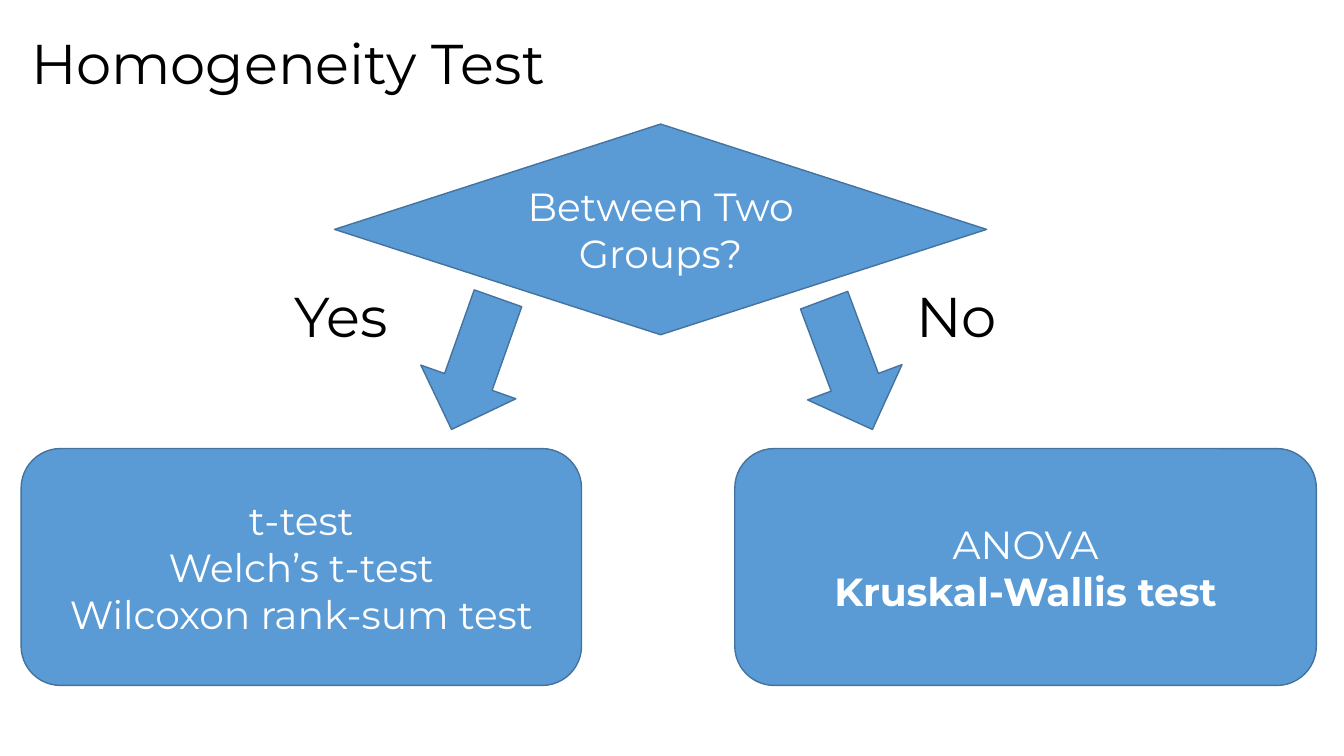
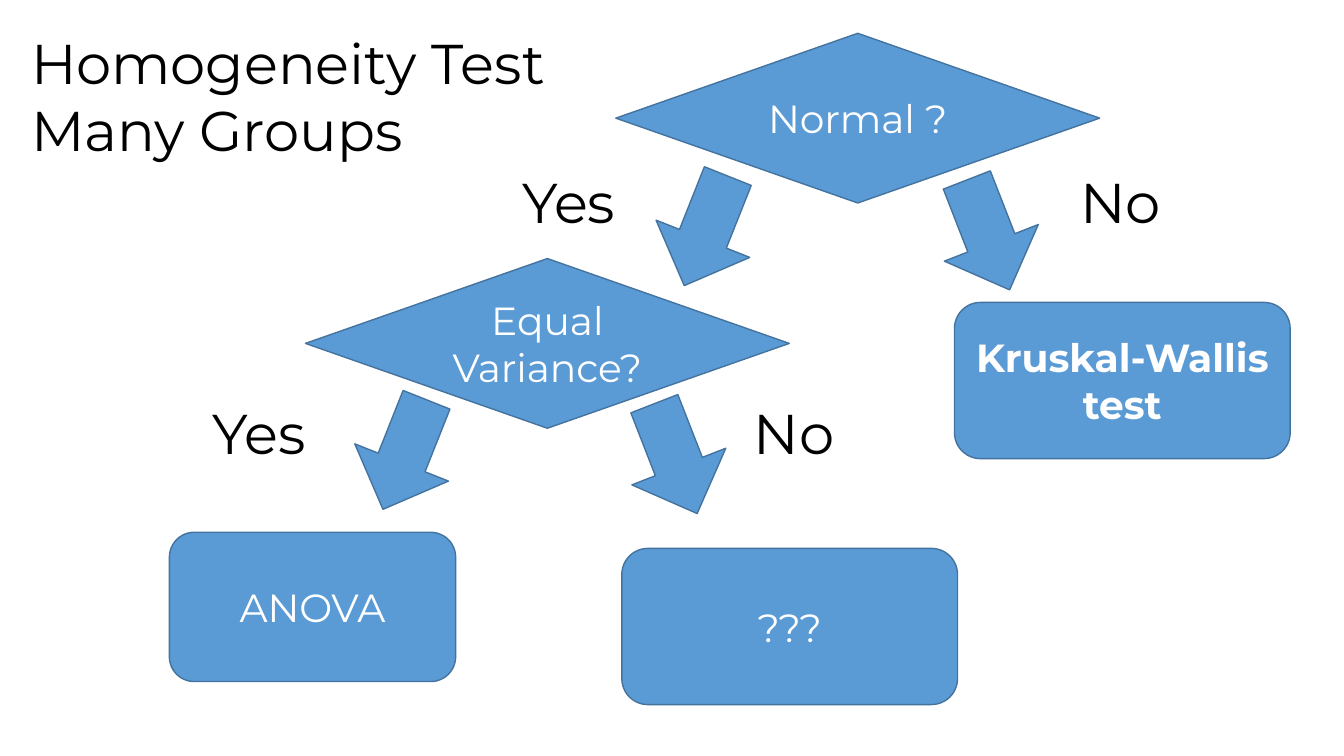
from dataclasses import dataclass

from pptx import Presentation
from pptx.dml.color import RGBColor
from pptx.enum.shapes import MSO_SHAPE
from pptx.enum.text import MSO_ANCHOR, MSO_AUTO_SIZE, PP_ALIGN
from pptx.presentation import Presentation as Deck
from pptx.slide import Slide
from pptx.text.text import TextFrame
from pptx.util import Pt

DECISION = MSO_SHAPE.FLOWCHART_DECISION
OUTCOME = MSO_SHAPE.FLOWCHART_ALTERNATE_PROCESS
ARROW = MSO_SHAPE.RIGHT_ARROW
LEFT = PP_ALIGN.LEFT
CENTER = PP_ALIGN.CENTER
TOP = MSO_ANCHOR.TOP
MIDDLE = MSO_ANCHOR.MIDDLE
FIT_SHAPE = MSO_AUTO_SIZE.SHAPE_TO_FIT_TEXT
NO_FIT = MSO_AUTO_SIZE.NONE
BLANK_LAYOUT = 6


@dataclass(frozen=True)
class Theme:
    font: str = "Montserrat"
    fill: RGBColor = RGBColor(0x5B, 0x9B, 0xD5)
    outline: RGBColor = RGBColor(0x43, 0x73, 0x9E)
    dark_text: RGBColor = RGBColor(0, 0, 0)
    light_text: RGBColor = RGBColor(255, 255, 255)
    heading_size: float = 40
    node_size: float = 28
    outline_width: float = 1


@dataclass(frozen=True)
class Box:
    left: float
    top: float
    width: float
    height: float


@dataclass(frozen=True)
class Line:
    text: str
    bold: bool = False


@dataclass(frozen=True)
class Node:
    kind: MSO_SHAPE
    box: Box
    lines: tuple[Line, ...]


@dataclass(frozen=True)
class Arrow:
    box: Box
    angle: float


@dataclass(frozen=True)
class Label:
    text: str
    left: float
    top: float


@dataclass(frozen=True)
class Flowchart:
    title: tuple[str, ...]
    nodes: tuple[Node, ...]
    arrows: tuple[Arrow, ...]
    labels: tuple[Label, ...]


THEME = Theme()
SLIDE_WIDTH, SLIDE_HEIGHT = 960, 540
TITLE_LEFT, TITLE_TOP, TITLE_WIDTH = 15.1, 16.6, 415.4
HEADING_LINE, HEADING_MARGIN = 49, 6.4
LABEL_WIDTH = 93.6
ARROW_HEIGHT = 72
KRUSKAL_WALLIS = Line("Kruskal-Wallis test", bold=True)


def write_text(
    frame: TextFrame,
    lines: tuple[Line, ...],
    *,
    size: float,
    color: RGBColor,
    align: PP_ALIGN = LEFT,
    anchor: MSO_ANCHOR = TOP,
    fit: MSO_AUTO_SIZE = NO_FIT,
) -> None:
    frame.word_wrap = True
    frame.auto_size = fit
    frame.vertical_anchor = anchor
    for index, line in enumerate(lines):
        para = frame.add_paragraph() if index else frame.paragraphs[0]
        para.alignment = align
        span = para.add_run()
        span.text = line.text
        span.font.name = THEME.font
        span.font.size = Pt(size)
        span.font.bold = line.bold
        span.font.color.rgb = color


def draw_shape(page: Slide, kind: MSO_SHAPE, box: Box, angle: float = 0) -> TextFrame:
    shape = page.shapes.add_shape(
        kind, Pt(box.left), Pt(box.top), Pt(box.width), Pt(box.height)
    )
    shape.rotation = angle
    shape.shadow.inherit = False
    shape.fill.solid()
    shape.fill.fore_color.rgb = THEME.fill
    shape.line.color.rgb = THEME.outline
    shape.line.width = Pt(THEME.outline_width)
    return shape.text_frame


def draw_node(page: Slide, node: Node) -> None:
    write_text(
        draw_shape(page, node.kind, node.box),
        node.lines,
        size=THEME.node_size,
        color=THEME.light_text,
        align=CENTER,
        anchor=MIDDLE,
    )


def draw_heading(
    page: Slide, texts: tuple[str, ...], left: float, top: float, width: float
) -> None:
    height = HEADING_LINE * len(texts) + HEADING_MARGIN
    text_box = page.shapes.add_textbox(Pt(left), Pt(top), Pt(width), Pt(height))
    write_text(
        text_box.text_frame,
        tuple(Line(text) for text in texts),
        size=THEME.heading_size,
        color=THEME.dark_text,
        fit=FIT_SHAPE,
    )


def draw_flowchart(deck: Deck, chart: Flowchart) -> None:
    page = deck.slides.add_slide(deck.slide_layouts[BLANK_LAYOUT])
    draw_heading(page, chart.title, TITLE_LEFT, TITLE_TOP, TITLE_WIDTH)
    for node in chart.nodes:
        draw_node(page, node)
    for arrow in chart.arrows:
        draw_shape(page, ARROW, arrow.box, arrow.angle)
    for label in chart.labels:
        draw_heading(page, (label.text,), label.left, label.top, LABEL_WIDTH)


def small_decision(left: float, top: float, text: str) -> Node:
    return Node(DECISION, Box(left, top, 345.6, 121.2), (Line(text),))


def small_outcome(left: float, top: float, line: Line) -> Node:
    return Node(OUTCOME, Box(left, top, 239.8, 111.6), (line,))


def small_arrow(left: float, top: float, angle: float) -> Arrow:
    return Arrow(Box(left, top, 84.2, ARROW_HEIGHT), angle)


GROUP_COUNT = Flowchart(
    title=("Homogeneity Test",),
    nodes=(
        Node(DECISION, Box(239, 88.6, 465.8, 150.5), (Line("Between Two Groups?"),)),
        Node(
            OUTCOME,
            Box(15.1, 320.4, 400.3, 169.2),
            (Line("t-test"), Line("Welch’s t-test"), Line("Wilcoxon rank-sum test")),
        ),
        Node(
            OUTCOME,
            Box(524.9, 320.4, 415.4, 169.2),
            (Line("ANOVA"), KRUSKAL_WALLIS),
        ),
    ),
    arrows=(
        Arrow(Box(289.4, 223.9, 99.4, ARROW_HEIGHT), 109.5),
        Arrow(Box(556.6, 224.6, 98.6, ARROW_HEIGHT), 69.5),
    ),
    labels=(Label("Yes", 203, 197.3), Label("No", 647.3, 197.3)),
)

MANY_GROUPS = Flowchart(
    title=("Homogeneity Test", "Many Groups"),
    nodes=(
        small_decision(439.9, 23.8, "Normal ?"),
        small_decision(218.2, 184.7, "Equal Variance?"),
        Node(OUTCOME, Box(121, 380.2, 204.5, 106.6), (Line("ANOVA"),)),
        small_outcome(444.2, 391.7, Line("???")),
        small_outcome(681.8, 216, KRUSKAL_WALLIS),
    ),
    arrows=(
        small_arrow(462.2, 128.9, 111.7),
        small_arrow(663.8, 131.8, 68.7),
        small_arrow(247, 288.7, 111.7),
        small_arrow(440.6, 291.6, 68.7),
    ),
    labels=(
        Label("Yes", 365.8, 115.9),
        Label("No", 764.6, 115.9),
        Label("Yes", 144.7, 280.8),
        Label("No", 531.4, 280.8),
    ),
)


def main() -> None:
    deck = Presentation()
    deck.slide_width = Pt(SLIDE_WIDTH)
    deck.slide_height = Pt(SLIDE_HEIGHT)
    for chart in (GROUP_COUNT, MANY_GROUPS):
        draw_flowchart(deck, chart)
    deck.save("out.pptx")


main()
